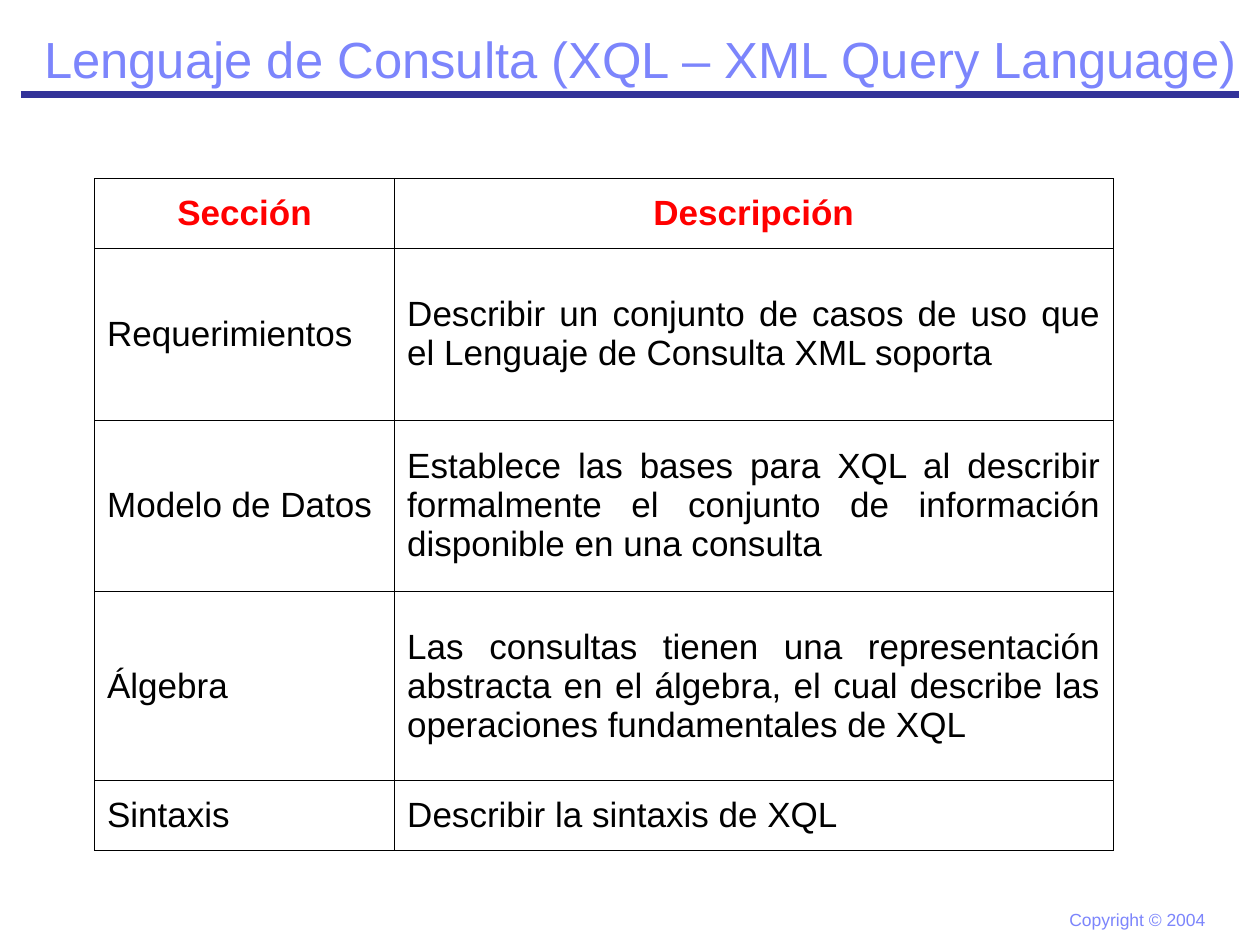
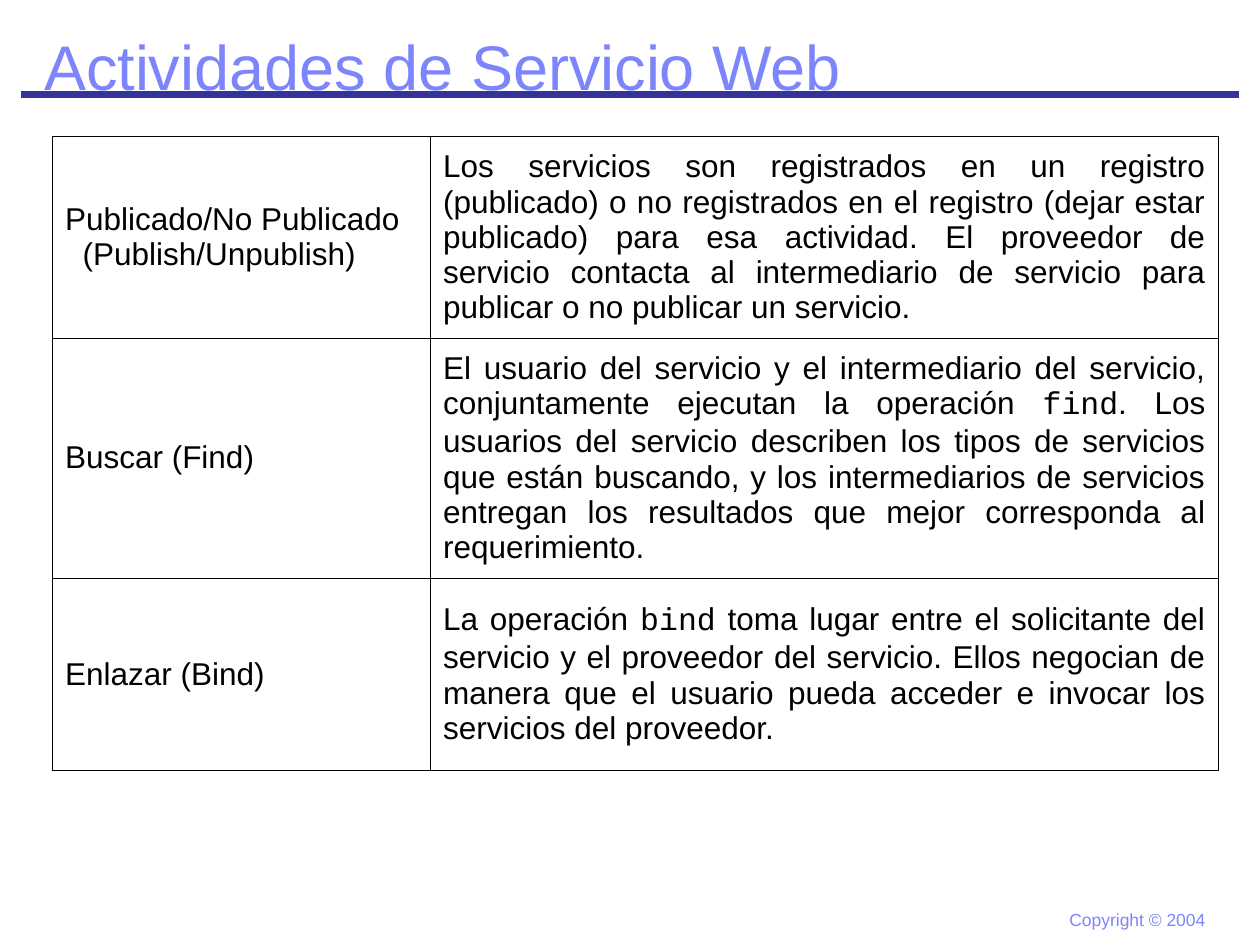
from dataclasses import dataclass

from lxml.etree import SubElement
from pptx import Presentation
from pptx.dml.color import RGBColor as RGB
from pptx.enum.shapes import MSO_CONNECTOR as CONN
from pptx.enum.text import MSO_ANCHOR as ANCHOR, MSO_AUTO_SIZE as AUTO, PP_ALIGN as ALIGN
from pptx.oxml import parse_xml
from pptx.oxml.ns import nsdecls, qn
from pptx.slide import Slide
from pptx.table import _Cell as Cell
from pptx.util import Pt


@dataclass(frozen=True)
class Theme:
    font: str = "Arial"
    code_font: str = "Courier New"
    title: RGB = RGB(0x7C, 0x85, 0xFC)
    rule: RGB = RGB(0x33, 0x33, 0x99)
    header: RGB = RGB(0xFF, 0, 0)
    text: RGB = RGB(0, 0, 0)
    footer_size: float = 10
    rule_width: float = 4.5
    border_width: float = 0.45
    second_line_indent: float = 10


@dataclass(frozen=True)
class TableSlide:
    title: str
    title_size: float
    title_box: tuple[float, float, float, float]
    left: float
    top: float
    cols: tuple[float, ...]
    row_heights: tuple[float, ...]
    text_size: float
    rows: tuple[tuple[str, str], ...]
    has_header: bool = False


THEME = Theme()

SLIDES = (
    TableSlide(
        title="Lenguaje de Consulta (XQL – XML Query Language)",
        title_size=29,
        title_box=(18, 12, 702, 42),
        left=54,
        top=102,
        cols=(171.5, 410.5),
        row_heights=(40, 98, 98, 108, 40),
        text_size=20,
        has_header=True,
        rows=(
            ("Sección", "Descripción"),
            ("Requerimientos",
             "Describir un conjunto de casos de uso que el Lenguaje de Consulta XML soporta"),
            ("Modelo de Datos",
             "Establece las bases para XQL al describir formalmente el conjunto de "
             "información disponible en una consulta"),
            ("Álgebra",
             "Las consultas tienen una representación abstracta en el álgebra, el cual "
             "describe las operaciones fundamentales de XQL"),
            ("Sintaxis", "Describir la sintaxis de XQL"),
        ),
    ),
    TableSlide(
        title="Actividades de Servicio Web",
        title_size=36,
        title_box=(18, 12, 660, 36),
        left=30,
        top=78,
        cols=(216, 450),
        row_heights=(115, 137, 110),
        text_size=18,
        rows=(
            ("Publicado/No Publicado\n(Publish/Unpublish)",
             "Los servicios son registrados en un registro (publicado) o no registrados en "
             "el registro (dejar estar publicado) para esa actividad. El proveedor de "
             "servicio contacta al intermediario de servicio para publicar o no publicar "
             "un servicio."),
            ("Buscar (Find)",
             "El usuario del servicio y el intermediario del servicio, conjuntamente "
             "ejecutan la operación `find`. Los usuarios del servicio describen los tipos "
             "de servicios que están buscando, y los intermediarios de servicios entregan "
             "los resultados que mejor corresponda al requerimiento."),
            ("Enlazar (Bind)",
             "La operación `bind` toma lugar entre el solicitante del servicio y el "
             "proveedor del servicio. Ellos negocian de manera que el usuario pueda "
             "acceder e invocar los servicios del proveedor."),
        ),
    ),
)


def style(font, size: float, color: RGB, name: str = THEME.font, bold: bool = False) -> None:
    font.name = name
    font.size = Pt(size)
    font.bold = bold
    font.color.rgb = color


def add_title(s: Slide, data: TableSlide) -> None:
    sp = s.shapes.title
    sp.left, sp.top, sp.width, sp.height = map(Pt, data.title_box)
    tf = sp.text_frame
    tf.text = data.title
    tf.auto_size = AUTO.NONE
    tf.vertical_anchor = ANCHOR.TOP
    p = tf.paragraphs[0]
    p.alignment = ALIGN.LEFT
    style(p.runs[0].font, data.title_size, THEME.title)


def add_rule(s: Slide) -> None:
    line = s.shapes.add_connector(CONN.STRAIGHT, Pt(12), Pt(54), Pt(708), Pt(54))
    line.line.color.rgb = THEME.rule
    line.line.width = Pt(THEME.rule_width)
    SubElement(line._element.spPr, qn("a:effectLst"))
    s.shapes.title._element.addprevious(line._element)


def add_footer(s: Slide) -> None:
    sp = s.shapes.add_textbox(Pt(604), Pt(516), Pt(92), Pt(19.5))
    tf = sp.text_frame
    tf.text = "Copyright © 2004"
    tf.word_wrap = False
    style(tf.paragraphs[0].runs[0].font, THEME.footer_size, THEME.title)


def set_borders(cell: Cell) -> None:
    tc_pr = cell._tc.get_or_add_tcPr()
    for i, side in enumerate("LRTB"):
        tc_pr.insert(i, parse_xml(
            f'<a:ln{side} {nsdecls("a")} w="{Pt(THEME.border_width)}"><a:solidFill>'
            f'<a:srgbClr val="{THEME.text}"/></a:solidFill></a:ln{side}>'))


def fill_cell(cell: Cell, text: str, size: float, align: ALIGN, header: bool) -> None:
    cell.fill.background()
    set_borders(cell)
    cell.vertical_anchor = ANCHOR.MIDDLE
    tf = cell.text_frame
    for i, line in enumerate(text.split("\n")):
        p = tf.add_paragraph() if i else tf.paragraphs[0]
        p.alignment = align
        if i:
            p._p.get_or_add_pPr().set("marL", str(Pt(THEME.second_line_indent)))
        for j, part in enumerate(line.split("`")):
            r = p.add_run()
            r.text = part
            style(r.font, size, THEME.header if header else THEME.text,
                  THEME.code_font if j % 2 else THEME.font, header)


def add_table(s: Slide, data: TableSlide) -> None:
    table = s.shapes.add_table(
        len(data.rows), len(data.cols), Pt(data.left), Pt(data.top),
        Pt(sum(data.cols)), Pt(sum(data.row_heights))).table
    table.first_row = data.has_header
    table.horz_banding = False
    for col, width in zip(table.columns, data.cols):
        col.width = Pt(width)
    for i, (row, height) in enumerate(zip(table.rows, data.row_heights)):
        row.height = Pt(height)
        header = data.has_header and i == 0
        aligns = (ALIGN.CENTER,) * 2 if header else (ALIGN.LEFT, ALIGN.JUSTIFY)
        for cell, text, align in zip(row.cells, data.rows[i], aligns):
            fill_cell(cell, text, data.text_size, align, header)


def main() -> None:
    prs = Presentation()
    prs.slide_width, prs.slide_height = Pt(720), Pt(540)
    for data in SLIDES:
        s = prs.slides.add_slide(prs.slide_layouts[5])
        add_title(s, data)
        add_rule(s)
        add_footer(s)
        add_table(s, data)
    prs.save("out.pptx")


if __name__ == "__main__":
    main()
